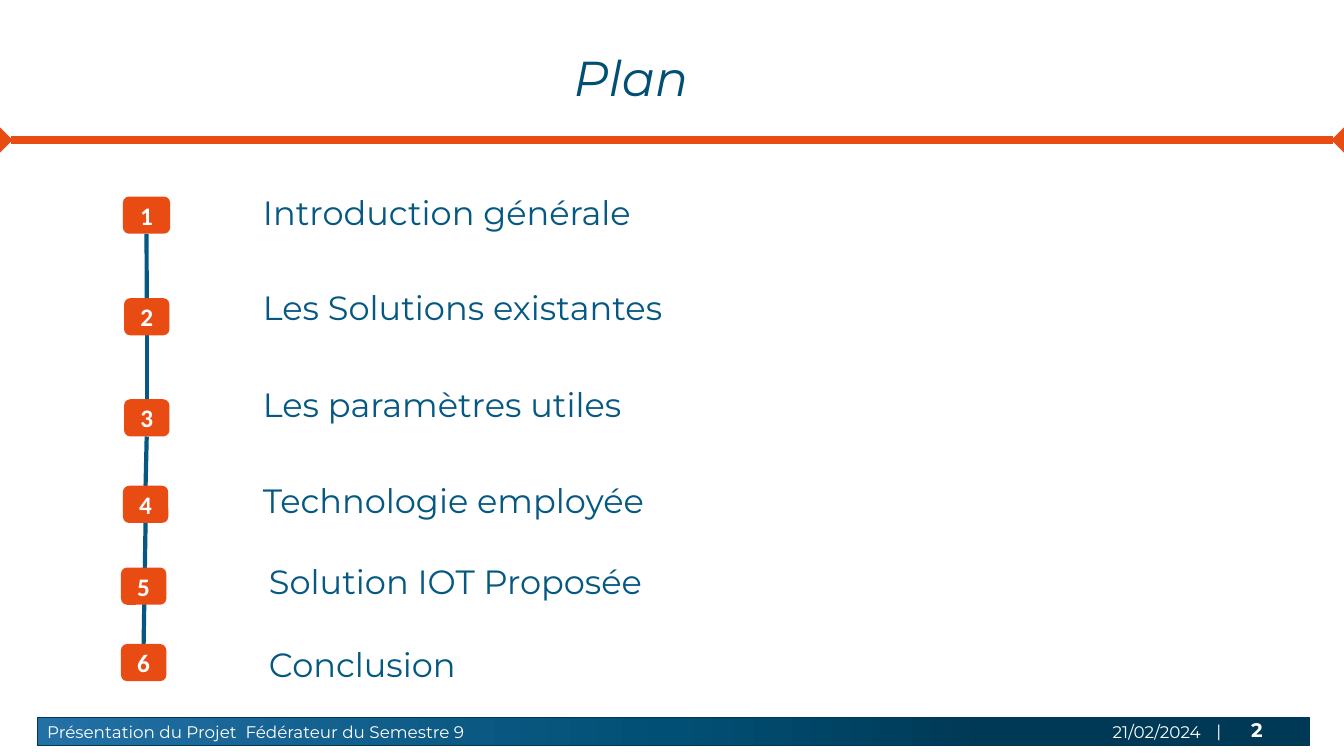
from dataclasses import dataclass

from lxml.etree import SubElement
from pptx import Presentation
from pptx.dml.color import RGBColor
from pptx.enum.shapes import MSO_CONNECTOR as Connector, MSO_SHAPE as Shape
from pptx.enum.text import MSO_ANCHOR as Anchor, PP_ALIGN as Align
from pptx.oxml.ns import qn
from pptx.util import Pt


@dataclass(frozen=True)
class Theme:
    navy: str = "014F74"
    blue: str = "055881"
    orange: str = "E94C13"
    white: str = "FFFFFF"
    deep: str = "003955"
    bar_stops: tuple = ((0, "2370A5"), (50, "014F74"), (75, "003955"), (100, "003955"))
    font: str = "Montserrat"
    badge_font: str = "Calibri"
    title_size: float = 35
    item_size: float = 24
    badge_size: float = 18
    page_size: float = 14
    footer_size: float = 12


def write(frame, text, *, font, size, color, bold=False, italic=False,
          align=Align.LEFT, anchor=Anchor.TOP, inset=(7.2, 3.6)):
    frame.word_wrap = True
    frame.vertical_anchor = anchor
    frame.margin_left = frame.margin_right = Pt(inset[0])
    frame.margin_top = frame.margin_bottom = Pt(inset[1])
    paragraph = frame.paragraphs[0]
    paragraph.alignment = align
    run = paragraph.add_run()
    run.text = text
    run.font.name = font
    run.font.size = Pt(size)
    run.font.bold = bold
    run.font.italic = italic
    run.font.color.rgb = RGBColor.from_string(color)


class PlanSlide:
    def __init__(self, slide, theme):
        self.slide = slide
        self.theme = theme

    def text(self, text, left, top, width, height, **style):
        box = self.slide.shapes.add_textbox(Pt(left), Pt(top), Pt(width), Pt(height))
        write(box.text_frame, text, **{"font": self.theme.font, **style})

    def footer_text(self, text, left, top, width, **style):
        style = {"size": self.theme.footer_size, "color": self.theme.white, **style}
        self.text(text, left, top, width, 29, inset=(7.2, 7.2), **style)

    def line(self, start, end, color, weight, ends=None):
        points = [Pt(value) for value in (*start, *end)]
        link = self.slide.shapes.add_connector(Connector.STRAIGHT, *points)
        link.line.color.rgb = RGBColor.from_string(color)
        link.line.width = Pt(weight)
        if ends:
            outline = link.line._get_or_add_ln()
            for tag in ("a:headEnd", "a:tailEnd"):
                SubElement(outline, qn(tag), type=ends)
        SubElement(link._element.spPr, qn("a:effectLst"))

    def badge(self, number, left, top, width, height):
        badge = self.slide.shapes.add_shape(
            Shape.ROUNDED_RECTANGLE, Pt(left), Pt(top), Pt(width), Pt(height))
        badge.shadow.inherit = False
        badge.fill.solid()
        badge.fill.fore_color.rgb = RGBColor.from_string(self.theme.orange)
        badge.line.fill.background()
        write(badge.text_frame, str(number), font=self.theme.badge_font,
              size=self.theme.badge_size, color=self.theme.white, bold=True,
              align=Align.CENTER, anchor=Anchor.MIDDLE)

    def bar(self, left, top, width, height):
        bar = self.slide.shapes.add_shape(
            Shape.RECTANGLE, Pt(left), Pt(top), Pt(width), Pt(height))
        bar.shadow.inherit = False
        bar.line.color.rgb = RGBColor.from_string(self.theme.deep)
        bar.line.width = Pt(0.75)
        bar.fill.gradient()
        bar.fill.gradient_angle = 0
        stops = bar._element.spPr.find(qn("a:gradFill")).find(qn("a:gsLst"))
        for stop in list(stops):
            stops.remove(stop)
        for percent, color in self.theme.bar_stops:
            stop = SubElement(stops, qn("a:gs"), pos=str(percent * 1000))
            SubElement(stop, qn("a:srgbClr"), val=color)


BADGE_HEIGHT = 26.6
STEPS = [
    ("Introduction générale", (87.8, 140.4, 33.8), (180.7, 133.2)),
    ("Les Solutions existantes", (88.6, 213, 32.4), (180.7, 201.6)),
    ("Les paramètres utiles", (88.6, 285.2, 32.4), (180.7, 270.6)),
    ("Technologie employée", (87.8, 347, 32.4), (180.7, 339.2)),
    ("Solution IOT Proposée", (86.4, 405.4, 32.4), (185, 397.4)),
    ("Conclusion", (86.4, 460, 32.4), (185, 456.4)),
]
LINKS = [(1, 2), (2, 3), (3, 4), (4, 6)]


def main():
    deck = Presentation()
    deck.slide_width, deck.slide_height = Pt(960), Pt(540)
    theme = Theme()
    plan = PlanSlide(deck.slides.add_slide(deck.slide_layouts[6]), theme)

    plan.text("Plan", 144.7, 28.8, 612, 50.4, size=theme.title_size, color=theme.navy,
              italic=True, align=Align.CENTER, inset=(9.4, 5))
    plan.line((0, 100), (960, 100), theme.orange, 6, ends="diamond")

    for first, last in LINKS:
        left, top, width = STEPS[first - 1][1]
        next_left, next_top, next_width = STEPS[last - 1][1]
        plan.line((left + width / 2, top + BADGE_HEIGHT),
                  (next_left + next_width / 2, next_top), theme.blue, 3)
    for number, (label, badge, place) in enumerate(STEPS, 1):
        plan.badge(number, *badge, BADGE_HEIGHT)
        plan.text(label, *place, 500, 41, size=theme.item_size, color=theme.blue)

    plan.bar(26.6, 512.6, 908.6, 20.2)
    plan.footer_text("Présentation du Projet  Fédérateur du Semestre 9", 26.6, 508.3, 326)
    plan.footer_text("21/02/2024", 787.7, 508.3, 78.5)
    plan.footer_text("|", 861.8, 507.4, 24)
    plan.footer_text("2", 886.6, 505.4, 40, size=theme.page_size, bold=True)
    deck.save("out.pptx")


if __name__ == "__main__":
    main()
